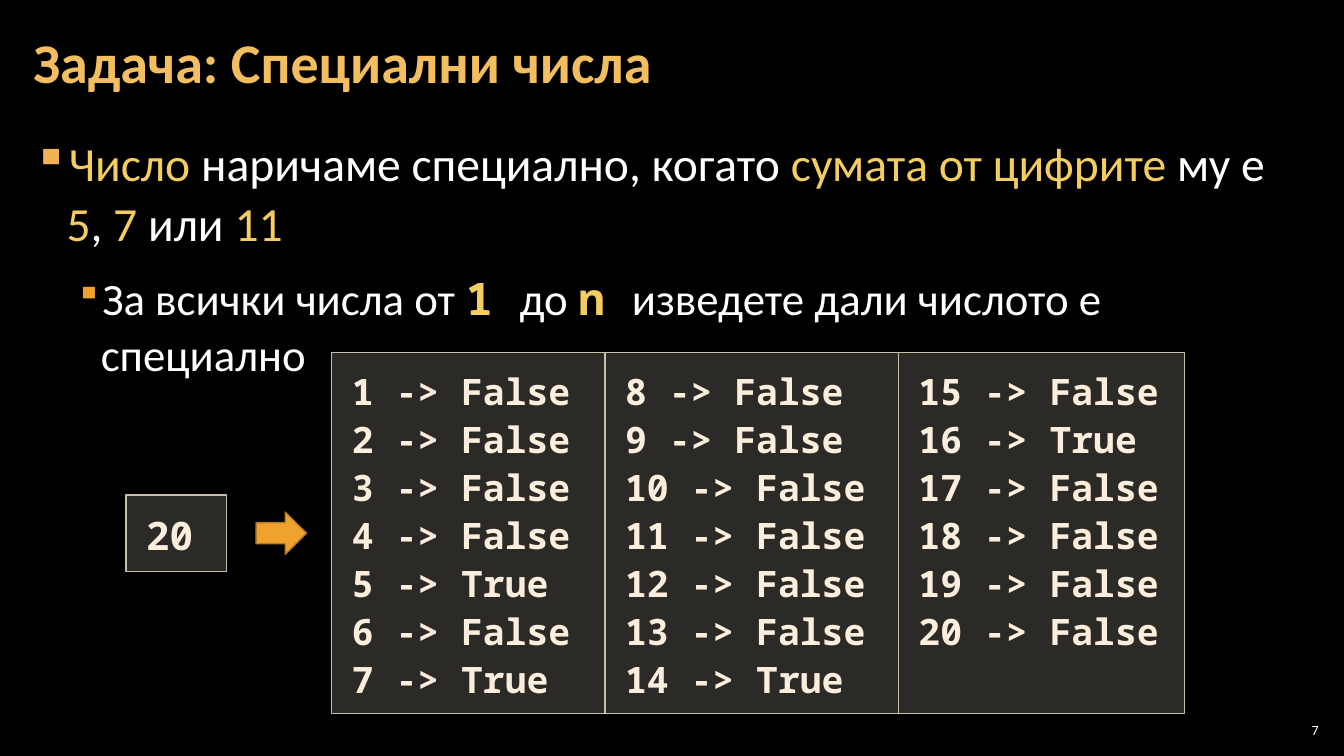
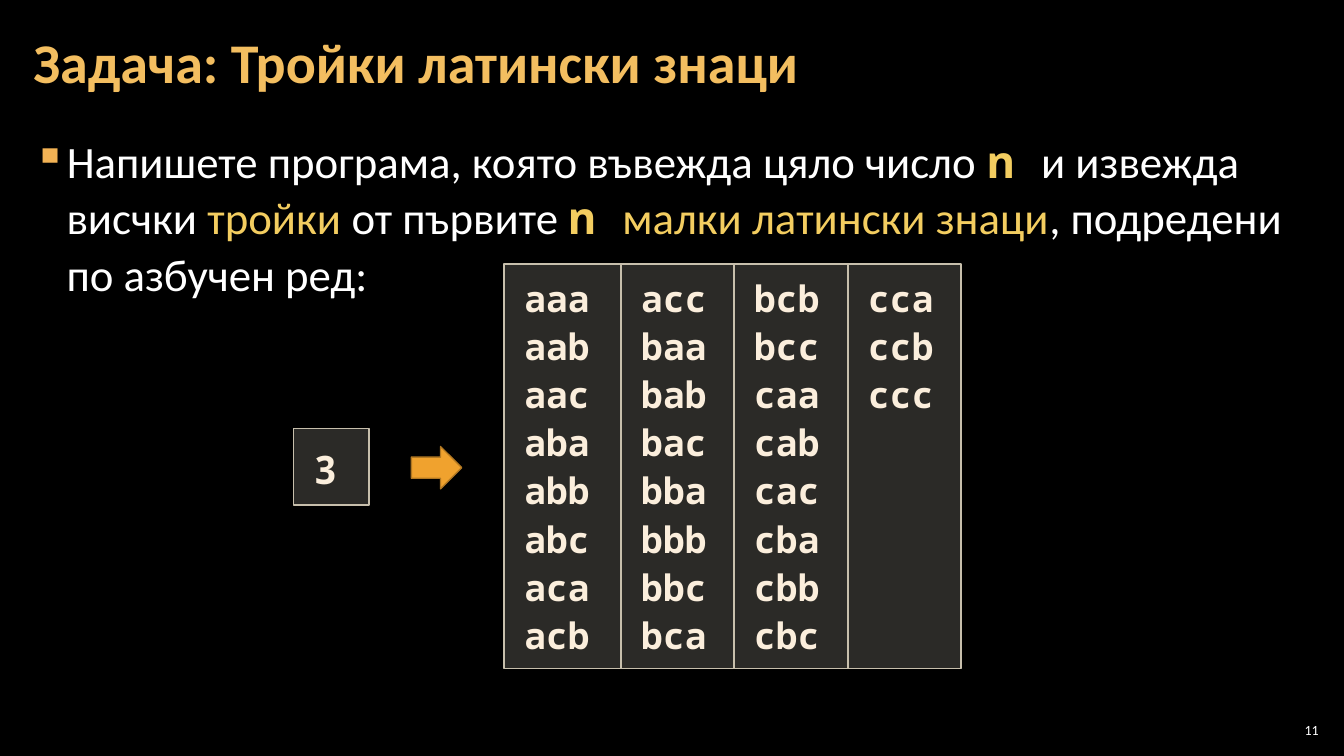
import itertools
from dataclasses import dataclass

import lxml.etree
import pptx
import pptx.dml.color
import pptx.enum.shapes
import pptx.enum.text
import pptx.oxml.ns
import pptx.util

Inches = pptx.util.Inches
Pt = pptx.util.Pt
Shape = pptx.enum.shapes.MSO_SHAPE
Anchor = pptx.enum.text.MSO_ANCHOR
Align = pptx.enum.text.PP_ALIGN
qn = pptx.oxml.ns.qn


@dataclass(frozen=True)
class Theme:
    """Colours, fonts and type sizes of the presentation."""
    background: str = "000000"
    title: str = "F3BE60"
    text: str = "FFFFFF"
    highlight: str = "F3CD60"
    bullets: tuple = ("F2B254", "F0A22E")
    code: str = "FBEEDC"
    box_fill: str = "D9D5C7"
    box_line: str = "C7BFAC"
    box_opacity: int = 20
    arrow_fill: str = "F0A22E"
    arrow_line: str = "B27822"
    font: str = "Calibri"
    code_font: str = "Noto Sans Mono"
    title_size: int = 40
    input_size: int = 28
    output_size: int = 26
    number_size: int = 10


# Kinds of text within a sentence
PLAIN, KEY, CODE = "plain", "key", "code"


def rgb(colour):
    """Turn a hex string into a colour."""
    return pptx.dml.color.RGBColor.from_string(colour)


def columns_of(lines, height):
    """Split lines into columns of the given number of rows."""
    return [lines[start:start + height] for start in range(0, len(lines), height)]


def is_special(number):
    """Tell whether the digits of a number add up to 5, 7 or 11."""
    return sum(int(digit) for digit in str(number)) in (5, 7, 11)


class Deck:
    """Holds the style and the current slide, and draws elements on it."""

    def __init__(self, theme):
        """Start a presentation with the shared size and background."""
        self.theme = theme
        self.presentation = pptx.Presentation()
        self.presentation.slide_width = Inches(13.33)
        self.presentation.slide_height = Inches(7.5)
        backdrop = self.presentation.slide_master.background.fill
        backdrop.solid()
        backdrop.fore_color.rgb = rgb(theme.background)
        self.slide = None

    def start_slide(self, title, number):
        """Add a slide with its title and page number."""
        theme = self.theme
        self.slide = self.presentation.slides.add_slide(self.presentation.slide_layouts[5])
        heading = self.slide.shapes.title
        heading.left, heading.top = Inches(0.21), Inches(0.04)
        heading.width, heading.height = Inches(10.47), Inches(1.21)
        frame = self.prepare_frame(heading, 0.12, 0.04, Anchor.MIDDLE)
        frame.text = title
        frame.paragraphs[0].alignment = Align.LEFT
        frame.paragraphs[0].line_spacing = 0.9
        self.style_run(frame.paragraphs[0].runs[0], theme.title_size, theme.title, bold=True)

        page = self.slide.shapes.add_textbox(Inches(12.65), Inches(7.14), Inches(0.47), Inches(0.21))
        frame = self.prepare_frame(page, 0.04, 0.04, Anchor.MIDDLE)
        frame.text = str(number)
        frame.paragraphs[0].alignment = Align.RIGHT
        self.style_run(frame.paragraphs[0].runs[0], theme.number_size, theme.text)

    def prepare_frame(self, holder, side, edge, anchor=Anchor.TOP):
        """Set insets, wrapping and anchor of a text frame and return it."""
        frame = holder.text_frame
        frame.word_wrap = True
        frame.auto_size = pptx.enum.text.MSO_AUTO_SIZE.NONE
        frame.vertical_anchor = anchor
        frame.margin_left = frame.margin_right = Inches(side)
        frame.margin_top = frame.margin_bottom = Inches(edge)
        return frame

    def style_run(self, run, size, colour, font=None, bold=False):
        """Format one run of text."""
        run.font.name = font or self.theme.font
        run.font.size = Pt(size)
        run.font.bold = bold
        run.font.color.rgb = rgb(colour)

    def add_bullets(self, *statements):
        """Write bulleted statements, each a size and its spans, one level deeper each time."""
        area = self.slide.shapes.add_textbox(Inches(0.21), Inches(1.26), Inches(12.91), Inches(6.09))
        frame = self.prepare_frame(area, 0.12, 0.04)
        for level, (size, spans) in enumerate(statements):
            paragraph = frame.add_paragraph() if level else frame.paragraphs[0]
            paragraph.level = level
            paragraph.line_spacing = 1.05
            paragraph.space_before = paragraph.space_after = Pt(6)
            self.set_bullet(paragraph, level)
            for text, kind in spans:
                run = paragraph.add_run()
                run.text = text
                colour = self.theme.text if kind == PLAIN else self.theme.highlight
                font = self.theme.code_font if kind == CODE else self.theme.font
                self.style_run(run, size, colour, font, bold=kind == CODE)

    def set_bullet(self, paragraph, level):
        """Give a paragraph a square bullet and a hanging indent."""
        margin, hanging, percent = ((0.33, 0.33, 100), (0.67, 0.25, 80))[level]
        properties = paragraph._p.get_or_add_pPr()
        properties.set("marL", str(Inches(margin)))
        properties.set("indent", str(-Inches(hanging)))
        colour = lxml.etree.SubElement(properties, qn("a:buClr"))
        lxml.etree.SubElement(colour, qn("a:srgbClr"), val=self.theme.bullets[level])
        lxml.etree.SubElement(properties, qn("a:buSzPct"), val=str(percent * 1000))
        lxml.etree.SubElement(properties, qn("a:buChar"), char="▪")

    def add_outlined(self, preset, left, top, width, height, fill, line):
        """Draw a preset shape with a solid fill and a thin outline."""
        shape = self.slide.shapes.add_shape(
            preset, Inches(left), Inches(top), Inches(width), Inches(height))
        shape.shadow.inherit = False
        shape.fill.solid()
        shape.fill.fore_color.rgb = rgb(fill)
        shape.line.color.rgb = rgb(line)
        shape.line.width = Pt(1)
        return shape

    def add_arrow(self, left, top):
        """Draw the arrow that leads from input to output."""
        self.add_outlined(Shape.RIGHT_ARROW, left, top, 0.5, 0.42,
                          self.theme.arrow_fill, self.theme.arrow_line)

    def add_code_box(self, left, top, width, height, lines, size, edge=0.12):
        """Draw a translucent box with lines of code."""
        theme = self.theme
        box = self.add_outlined(Shape.RECTANGLE, left, top, width, height,
                                theme.box_fill, theme.box_line)
        tint = box.fill._xPr.find(qn("a:solidFill"))[0]
        lxml.etree.SubElement(tint, qn("a:alpha"), val=str(theme.box_opacity * 1000))
        frame = self.prepare_frame(box, 0.2, edge)
        frame.text = "\n".join(lines)
        for paragraph in frame.paragraphs:
            paragraph.alignment = Align.LEFT
            paragraph.line_spacing = 1.1
            self.style_run(paragraph.runs[0], size, theme.code, theme.code_font, bold=True)

    def add_input(self, left, top, width, value):
        """Draw the box with the sample input."""
        self.add_code_box(left, top, width, 0.76, [value], self.theme.input_size)

    def add_output(self, left, top, height, widths, columns, edge):
        """Draw the sample output as boxes placed side by side."""
        for width, lines in zip(widths, columns):
            self.add_code_box(left, top, width, height, lines, self.theme.output_size, edge)
            left += width


def build_special_numbers(deck):
    """Build the slide about special numbers."""
    deck.start_slide("Задача: Специални числа", 7)
    deck.add_bullets(
        (34, [("Число ", KEY), ("наричаме специално, когато ", PLAIN),
              ("сумата от цифрите ", KEY), ("му е ", PLAIN), ("5", KEY), (", ", PLAIN),
              ("7 ", KEY), ("или ", PLAIN), ("11", KEY)]),
        (32, [("За всички числа от ", PLAIN), ("1 ", CODE), ("до ", PLAIN), ("n ", CODE),
              ("изведете дали числото е специално", PLAIN)]),
    )
    verdicts = [f"{number} -> {is_special(number)}" for number in range(1, 21)]
    deck.add_input(1.25, 4.91, 1, "20")
    deck.add_arrow(2.54, 5.08)
    deck.add_output(3.29, 3.5, 3.58, (2.71, 2.91, 2.84), columns_of(verdicts, 7), edge=0.12)


def build_letter_triples(deck):
    """Build the slide about triples of Latin letters."""
    deck.start_slide("Задача: Тройки латински знаци", 11)
    deck.add_bullets(
        (32, [("Напишете програма, която въвежда цяло число ", PLAIN), ("n ", CODE),
              ("и извежда висчки ", PLAIN), ("тройки ", KEY), ("от първите ", PLAIN),
              ("n ", CODE), ("малки латински знаци", KEY),
              (", подредени по азбучен ред:", PLAIN)]),
    )
    triples = ["".join(letters) for letters in itertools.product("abc", repeat=3)]
    deck.add_input(2.91, 4.25, 0.75, "3")
    deck.add_arrow(4.08, 4.43)
    deck.add_output(5, 2.62, 4.01, (1.16, 1.12, 1.13, 1.12), columns_of(triples, 8), edge=0.08)


deck = Deck(Theme())
build_special_numbers(deck)
build_letter_triples(deck)
deck.presentation.save("out.pptx")
